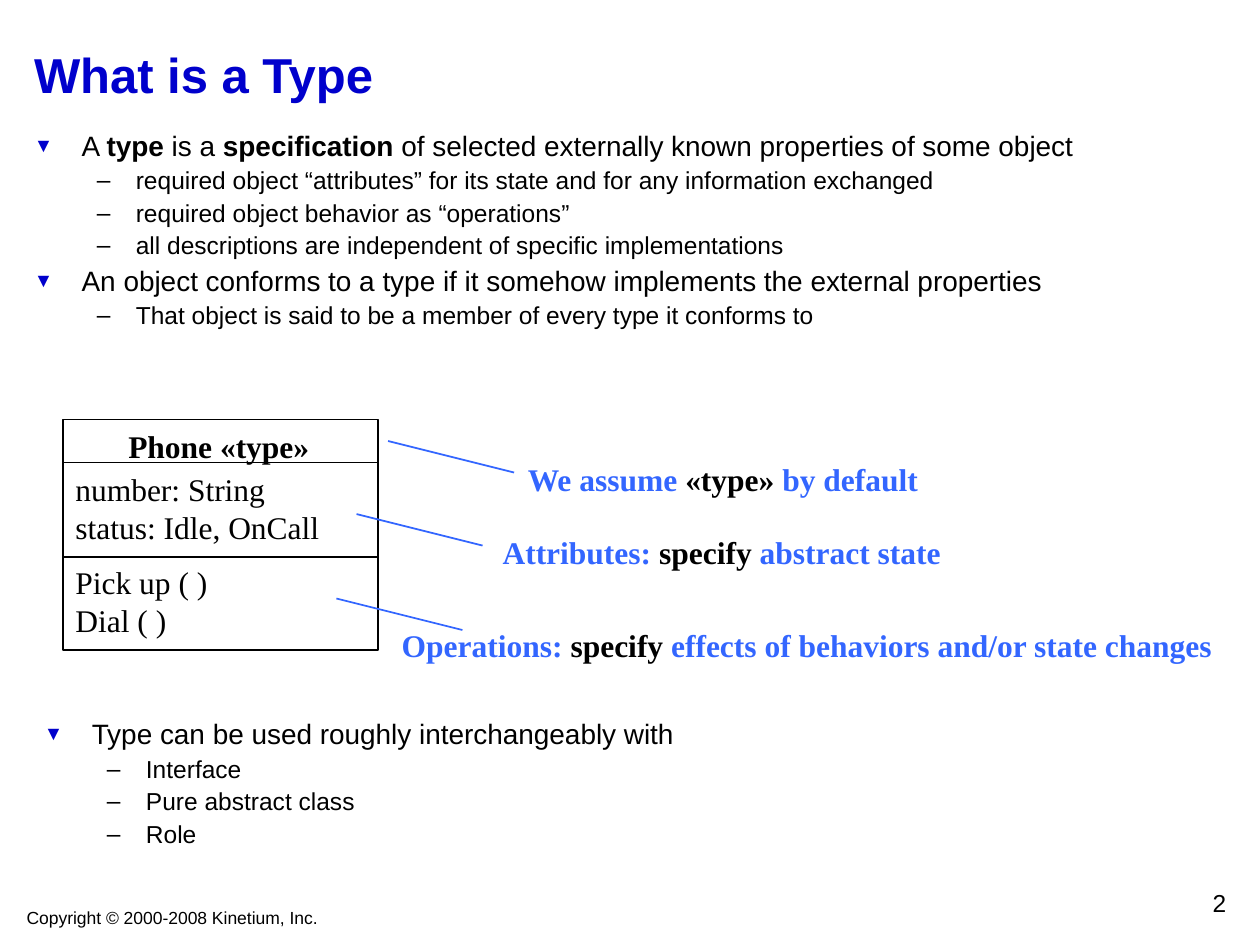
from lxml.etree import SubElement
from pptx import Presentation
from pptx.dml.color import RGBColor
from pptx.enum.shapes import MSO_CONNECTOR as Connector, MSO_SHAPE as Shape
from pptx.enum.text import MSO_ANCHOR as Anchor, PP_ALIGN as Align
from pptx.oxml.ns import qn
from pptx.util import Inches, Pt

BLACK, NAVY, BLUE = "000000", "0000CC", "3366FF"
SANS, SERIF = "Arial", "Times New Roman"

# One entry per outline level
LEVELS = [
    dict(size=16, before=4, left=0.38, hanging=0.38, bullet="▼", color=NAVY, percent=70),
    dict(size=14, before=3.5, left=0.81, hanging=0.31, bullet="–", color=BLACK, percent=100),
]

DEFINITION = [
    (0, "A *type* is a *specification* of selected externally known properties of some object"),
    (1, "required object “attributes” for its state and for any information exchanged"),
    (1, "required object behavior as “operations”"),
    (1, "all descriptions are independent of specific implementations"),
    (0, "An object conforms to a type if it somehow implements the external properties"),
    (1, "That object is said to be a member of every type it conforms to"),
]
SYNONYMS = [
    (0, "Type can be used roughly interchangeably with"),
    (1, "Interface"),
    (1, "Pure abstract class"),
    (1, "Role"),
]

BOX_LEFT, BOX_TOP, BOX_WIDTH, BOX_HEIGHT = 0.5, 3.33, 2.5, 1.83
DIVIDERS = [3.67, 4.42]
COMPARTMENTS = [
    (0.92, 3.34, 1.64, 0.4, ["Phone «type»"], True),
    (0.5, 3.68, 2.14, 0.7, ["number: String", "status: Idle, OnCall"], False),
    (0.5, 4.42, 1.31, 0.7, ["Pick up ( )", "Dial ( )"], False),
]
# Text position and width, text, then the pointer's end beside the text
CALLOUTS = [
    (4.09, 3.6, 3.31, "We assume *«type»* by default", 4.08, 3.75),
    (3.89, 4.18, 3.68, "Attributes: *specify* abstract state", 3.83, 4.33),
    (3.09, 4.92, 6.63, "Operations: *specify* effects of behaviors and/or state changes", 3.67, 5),
]
POINTER_WIDTH, POINTER_HEIGHT = 1, 0.25


def rgb(value):
    return RGBColor.from_string(value)


def inches(*values):
    return [Inches(value) for value in values]


class SlideBuilder:
    def __init__(self, presentation):
        self.slide = presentation.slides.add_slide(presentation.slide_layouts[5])
        self.line_width = Pt(1)

    def add_runs(self, paragraph, text, style, emphasis=None):
        """Add runs to a paragraph; parts between asterisks also take the emphasis style."""
        for index, part in enumerate(text.split("*")):
            run = paragraph.add_run()
            run.text = part
            values = {**style, **(emphasis or {})} if index % 2 else dict(style)
            run.font.color.rgb = rgb(values.pop("color"))
            for name, value in values.items():
                setattr(run.font, name, value)

    def title(self, text, position, style):
        title = self.slide.shapes.title
        title.left, title.top, title.width, title.height = inches(*position)
        title.text_frame.vertical_anchor = Anchor.MIDDLE
        paragraph = title.text_frame.paragraphs[0]
        paragraph.alignment = Align.LEFT
        self.add_runs(paragraph, text, style)

    def text(self, lines, position, style, emphasis=None, align=Align.LEFT,
             anchor=Anchor.MIDDLE, wrap=False):
        frame = self.slide.shapes.add_textbox(*inches(*position)).text_frame
        frame.word_wrap = wrap
        frame.vertical_anchor = anchor
        for index, line in enumerate(lines):
            paragraph = frame.add_paragraph() if index else frame.paragraphs[0]
            paragraph.alignment = align
            self.add_runs(paragraph, line, style, emphasis)

    def outline(self, items, position):
        frame = self.slide.shapes.add_textbox(*inches(*position)).text_frame
        frame.word_wrap = True
        for index, (level, text) in enumerate(items):
            paragraph = frame.add_paragraph() if index else frame.paragraphs[0]
            form = LEVELS[level]
            paragraph.level = level
            paragraph.line_spacing = 0.9
            paragraph.space_before = Pt(form["before"] if index else 0)
            self.bullet(paragraph, form)
            style = dict(name=SANS, size=Pt(form["size"]), color=BLACK, bold=False)
            self.add_runs(paragraph, text, style, dict(bold=True))

    def bullet(self, paragraph, form):
        properties = paragraph._p.get_or_add_pPr()
        properties.set("marL", str(Inches(form["left"])))
        properties.set("indent", str(-Inches(form["hanging"])))
        color = SubElement(properties, qn("a:buClr"))
        SubElement(color, qn("a:srgbClr"), val=form["color"])
        SubElement(properties, qn("a:buSzPct"), val=str(form["percent"] * 1000))
        SubElement(properties, qn("a:buFont"), typeface=SANS)
        SubElement(properties, qn("a:buChar"), char=form["bullet"])

    def rectangle(self, position, color):
        shape = self.slide.shapes.add_shape(Shape.RECTANGLE, *inches(*position))
        shape.shadow.inherit = False
        shape.fill.background()
        shape.line.color.rgb = rgb(color)
        shape.line.width = self.line_width

    def line(self, start, end, color):
        connector = self.slide.shapes.add_connector(
            Connector.STRAIGHT, *inches(*start, *end))
        connector.line.color.rgb = rgb(color)
        connector.line.width = self.line_width
        SubElement(connector._element.spPr, qn("a:effectLst"))


def main():
    presentation = Presentation()
    presentation.slide_width, presentation.slide_height = inches(10, 7.5)
    builder = SlideBuilder(presentation)
    sans = dict(name=SANS, color=BLACK)
    serif = dict(name=SERIF, size=Pt(18), color=BLACK)

    builder.text(["Copyright © 2000-2008 Kinetium, Inc."], (0.11, 7.15, 2.51, 0.27),
                 {**sans, "size": Pt(10)}, align=Align.CENTER, anchor=Anchor.TOP)
    builder.title("What is a Type", (0.17, 0.17, 9.67, 0.83),
                  dict(name=SANS, size=Pt(28), color=NAVY, bold=True))
    builder.outline(DEFINITION, (0.17, 1, 9.5, 2.17))
    builder.outline(SYNONYMS, (0.25, 5.67, 9.58, 1.17))

    builder.rectangle((BOX_LEFT, BOX_TOP, BOX_WIDTH, BOX_HEIGHT), BLACK)
    for y in DIVIDERS:
        builder.line((BOX_LEFT, y), (BOX_LEFT + BOX_WIDTH, y), BLACK)
    for *position, lines, bold in COMPARTMENTS:
        builder.text(lines, position, {**serif, "bold": bold})

    for left, top, width, text, x, y in CALLOUTS:
        builder.text([text], (left, top, width, 0.4),
                     {**serif, "color": BLUE, "bold": True}, dict(color=BLACK))
        builder.line((x, y), (x - POINTER_WIDTH, y - POINTER_HEIGHT), BLUE)

    builder.text(["2"], (7.75, 7, 2.08, 0.33), {**sans, "size": Pt(14)},
                 align=Align.RIGHT, anchor=Anchor.TOP, wrap=True)
    presentation.save("out.pptx")


if __name__ == "__main__":
    main()
